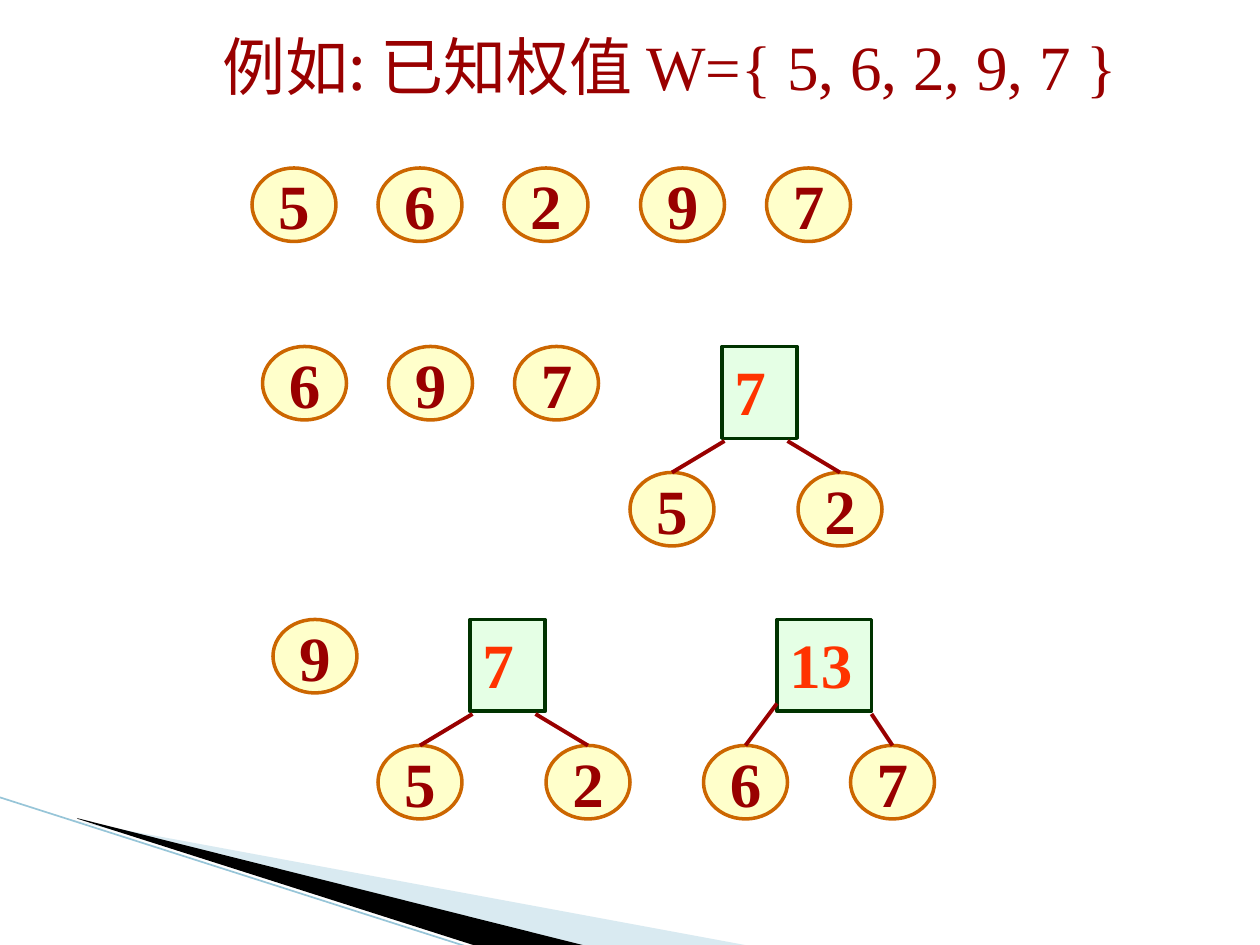
"""Build a slide that merges weights step by step into a Huffman tree."""
from dataclasses import dataclass

from lxml.etree import SubElement
from pptx import Presentation
from pptx.dml.color import RGBColor as Rgb
from pptx.enum.shapes import MSO_CONNECTOR as Link, MSO_SHAPE as Kind
from pptx.enum.text import MSO_ANCHOR as Anchor, MSO_AUTO_SIZE as Fit, PP_ALIGN as Align
from pptx.oxml.ns import qn
from pptx.util import Pt


@dataclass(frozen=True)
class Theme:
    """Colours, fonts and sizes of the slide."""
    ink: str = "990000"
    leaf: str = "FFFF99"
    rim: str = "CC6600"
    node: str = "CCFFCC"
    edge: str = "003300"
    sum: str = "FF3300"
    pale: str = "A0CBDC"
    dark: str = "000000"
    rule: str = "97C5D8"
    latin: str = "Times New Roman"
    han: str = "Noto Sans CJK SC"
    size: float = 36


class Board:
    """Draw the parts of the slide in one style."""

    def __init__(self, slide, theme):
        """Keep the slide and its theme."""
        self.slide, self.theme = slide, theme

    def paint(self, shape, fill, line=None, alpha=None):
        """Set fill, outline and transparency of a shape."""
        shape.shadow.inherit = False
        shape.fill.solid()
        shape.fill.fore_color.rgb = Rgb.from_string(fill)
        if alpha:
            props = shape._element.spPr
            tint = props.find(qn("a:solidFill")).find(qn("a:srgbClr"))
            SubElement(tint, qn("a:alpha"), val=str(alpha * 1000))
        if line:
            shape.line.color.rgb = Rgb.from_string(line)
            shape.line.width = Pt(2)
        else:
            shape.line.fill.background()

    def label(self, para, text, color, face, bold=False):
        """Add one run to a paragraph."""
        run = para.add_run()
        run.text = text
        font = run.font
        font.name, font.size, font.bold = face, Pt(self.theme.size), bold
        font.color.rgb = Rgb.from_string(color)
        SubElement(font._element, qn("a:ea"), typeface=face)

    def title(self, x, y, w, h, runs):
        """Fill the title placeholder with runs of text and font."""
        shape = self.slide.shapes.title
        shape.left, shape.top, shape.width, shape.height = map(Pt, (x, y, w, h))
        frame = shape.text_frame
        frame.word_wrap, frame.auto_size = False, Fit.SHAPE_TO_FIT_TEXT
        frame.vertical_anchor = Anchor.TOP
        para = frame.paragraphs[0]
        para.alignment = Align.LEFT
        for text, face in runs:
            self.label(para, text, self.theme.ink, face)

    def leaf(self, x, y, text):
        """Draw a round leaf with its weight."""
        look = self.theme
        shape = self.slide.shapes.add_shape(Kind.OVAL, Pt(x), Pt(y), Pt(48), Pt(42))
        self.paint(shape, look.leaf, look.rim, 50)
        frame = shape.text_frame
        frame.word_wrap, frame.vertical_anchor = False, Anchor.MIDDLE
        para = frame.paragraphs[0]
        para.alignment = Align.CENTER
        self.label(para, text, look.ink, look.latin, True)
        return shape

    def node(self, x, y, w, text):
        """Draw a square inner node with its sum."""
        look = self.theme
        shape = self.slide.shapes.add_shape(Kind.RECTANGLE, Pt(x), Pt(y), Pt(w), Pt(52.5))
        self.paint(shape, look.node, look.edge, 50)
        frame = shape.text_frame
        frame.word_wrap, frame.auto_size = True, Fit.SHAPE_TO_FIT_TEXT
        frame.vertical_anchor = Anchor.TOP
        para = frame.paragraphs[0]
        para.alignment = Align.LEFT
        self.label(para, text, look.sum, look.latin, True)

    def line(self, start, end, color, width):
        """Draw a straight line between two points."""
        wire = self.slide.shapes.add_connector(Link.STRAIGHT, *map(Pt, start + end))
        wire.line.color.rgb = Rgb.from_string(color)
        wire.line.width = Pt(width)
        SubElement(wire._element.spPr, qn("a:effectLst"))
        return wire

    def band(self, points, fill, alpha=None):
        """Draw a filled outline through the points."""
        first, *rest = [(Pt(x), Pt(y)) for x, y in points]
        pen = self.slide.shapes.build_freeform(*first)
        pen.add_line_segments(rest, close=True)
        self.paint(pen.convert_to_shape(), fill, alpha=alpha)

    def row(self, y, items):
        """Draw leaves side by side."""
        for x, text in items:
            self.leaf(x, y, text)

    def tree(self, x, y, w, total, kids):
        """Draw a node with its leaves, given as left, weight and branch start."""
        self.node(x, y, w, total)
        for left, text, start in kids:
            leaf = self.leaf(left, y + 72, text)
            wire = self.line(start, (left + 24, y + 72), self.theme.ink, 2.25)
            wire.end_connect(leaf, 0)


def main():
    """Build and save the slide."""
    deck = Presentation()
    deck.slide_width, deck.slide_height = Pt(720), Pt(540)
    look = Theme()
    board = Board(deck.slides.add_slide(deck.slide_layouts[5]), look)

    board.band([(39.6, 468.5), (428.4, 540.5), (328.3, 540.5), (39.6, 468)], look.pale, 40)
    board.band([(44, 467.5), (334.8, 540.5), (273.6, 541), (44.6, 468)], look.dark)
    board.line((-0.5, 455.5), (267, 541), look.rule, 0.95)
    board.title(120, 12, 553, 50.5,
                [("例如: 已知权值 ", look.han), ("W={ 5, 6, 2, 9, 7 }", look.latin)])

    board.row(96, zip((144, 216, 288, 366, 438), "56297"))
    board.row(198, zip((150, 222, 294), "697"))
    board.row(354, [(156, "9")])
    for x, y in ((412.5, 198), (268.5, 354)):
        board.tree(x, y, 43, "7", [(x - 52.5, "5", (x + 1.5, y + 54)),
                                   (x + 43.5, "2", (x + 37.5, y + 54))])
    board.tree(444, 354, 54, "13", [(402, "6", (444, 402)), (486, "7", (498, 408))])
    deck.save("out.pptx")


if __name__ == "__main__":
    main()
